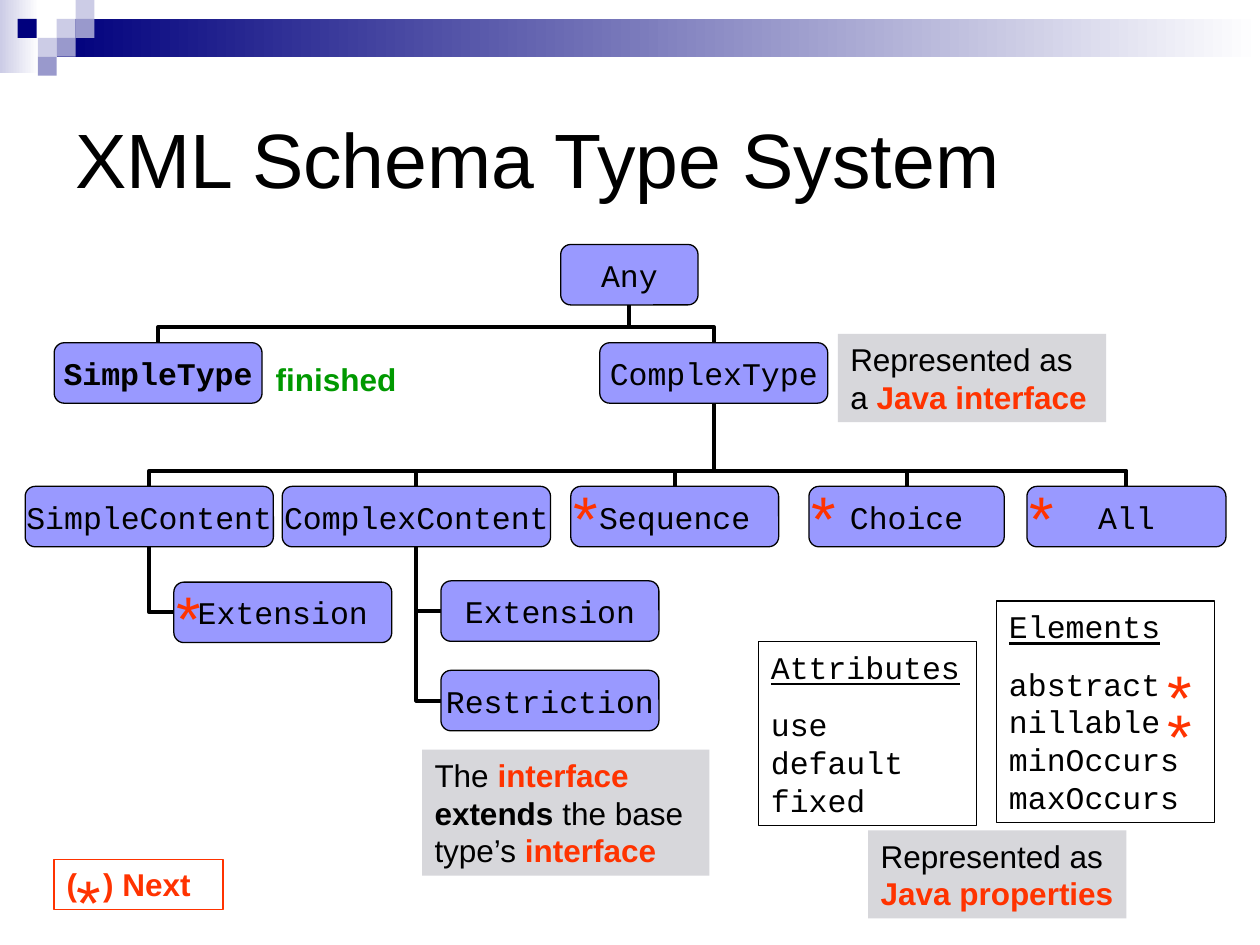
import lxml.etree
import pptx
import pptx.dml.color
import pptx.enum.shapes
import pptx.enum.text
import pptx.oxml.ns
import pptx.util

COLORS = {
    "black": "000000", "white": "FFFFFF", "navy": "00007D", "pale": "CCCCE6",
    "lavender": "9999CC", "node": "9999FF", "gray": "D7D7DB",
    "red": "FF3300", "green": "009900",
}
SHAPES = pptx.enum.shapes.MSO_SHAPE
ALIGN = pptx.enum.text.PP_ALIGN
ANCHOR = pptx.enum.text.MSO_ANCHOR
CELL = pptx.util.Inches(0.1)  # the slide is a grid of 100 columns and 75 rows
NODE_HEIGHT = 4.8
BUS_RISE = 1.25  # distance from the top of a child node up to its branch line
SQUARE = 1.5

# key: (text, left column, top row, width)
NODES = {
    "any": ("Any", 44.5, 19.4, 10.9),
    "simple type": ("SimpleType", 4.3, 27.2, 16.5),
    "complex type": ("ComplexType", 47.6, 27.2, 18.1),
    "simple content": ("SimpleContent", 2, 38.6, 19.7),
    "complex content": ("ComplexContent", 22.4, 38.6, 21.3),
    "sequence": ("Sequence", 45.3, 38.6, 16.5),
    "choice": ("Choice", 64.2, 38.6, 15.5),
    "all": ("All", 81.5, 38.6, 15.8),
    "simple extension": ("Extension", 13.8, 46.2, 17.3),
    "complex extension": ("Extension", 35, 46.1, 17.3),
    "restriction": ("Restriction", 35, 53.2, 17.3),
}
TREE_BRANCHES = {
    "any": ["simple type", "complex type"],
    "complex type": ["simple content", "complex content", "sequence", "choice", "all"],
}
SIDE_BRANCHES = {
    "simple content": ["simple extension"],
    "complex content": ["complex extension", "restriction"],
}
SQUARES = [
    (4.5, 1.5, "pale"), (6, 0, "pale"), (6, 1.5, "lavender"), (3, 3, "pale"),
    (1.4, 1.5, "navy"), (4.5, 3, "lavender"), (3, 4.5, "lavender"),
]
STARS = [(13, 45.4), (44.5, 37.5), (63.4, 37.5), (80.7, 37.5),
         (5.1, 68), (91.7, 51.7), (91.7, 54.8)]


def cells(*values):
    return [round(value * CELL) for value in values]


def rgb(name):
    return pptx.dml.color.RGBColor.from_string(COLORS[name])


def add_box(slide, box, fill=None, line=None, preset=SHAPES.RECTANGLE):
    shape = slide.shapes.add_shape(preset, *cells(*box))
    shape.shadow.inherit = False
    if fill:
        shape.fill.solid()
        shape.fill.fore_color.rgb = rgb(fill)
    else:
        shape.fill.background()
    if line:
        shape.line.color.rgb = rgb(line)
        shape.line.width = pptx.util.Pt(0.75)
    else:
        shape.line.fill.background()
    return shape


def add_gradient(slide, box, start):
    fill = add_box(slide, box, "white").fill
    fill.gradient()
    fill.gradient_angle = 0
    for stop, position, color in zip(fill.gradient_stops, (0, 1), (start, "white")):
        stop.position = position
        stop.color.rgb = rgb(color)


def write(shape, paragraphs, size=18, font="Arial", align=ALIGN.LEFT,
          anchor=ANCHOR.TOP, wrap=True):
    """Fill a shape with paragraphs, each a list of (text, color, styles) runs."""
    frame = shape.text_frame
    frame.word_wrap = wrap
    frame.vertical_anchor = anchor
    for index, runs in enumerate(paragraphs):
        paragraph = frame.add_paragraph() if index else frame.paragraphs[0]
        paragraph.alignment = align
        if index:
            paragraph.space_before = pptx.util.Pt(11.2)
        for text, color, styles in runs:
            run = paragraph.add_run()
            run.text = text
            run.font.size = pptx.util.Pt(size)
            run.font.name = font
            run.font.color.rgb = rgb(color)
            run.font.bold = "bold" in styles
            run.font.underline = "underline" in styles


def add_label(slide, box, paragraphs, **options):
    write(slide.shapes.add_textbox(*cells(*box)), paragraphs, **options)


def add_elbow(slide, start, end, preset, rotation, flips="", bend=None):
    """Draw a bent line; a quarter turn swaps the sides of its unrotated frame."""
    width, height = abs(end[0] - start[0]), abs(end[1] - start[1])
    if rotation % 180:
        width, height = height, width
    left = (start[0] + end[0] - width) / 2
    top = (start[1] + end[1] - height) / 2
    connector = slide.shapes.add_connector(
        pptx.enum.shapes.MSO_CONNECTOR.ELBOW,
        *cells(left, top, left + width, top + height))
    connector.line.color.rgb = rgb("black")
    connector.line.width = pptx.util.Pt(2.25)
    qn = pptx.oxml.ns.qn
    properties = connector._element.spPr
    lxml.etree.SubElement(properties, qn("a:effectLst"))
    transform = properties.find(qn("a:xfrm"))
    transform.set("rot", str(rotation * 60000))
    for axis in flips:
        transform.set("flip" + axis, "1")
    geometry = properties.find(qn("a:prstGeom"))
    geometry.set("prst", preset)
    if bend is not None:
        guide = lxml.etree.SubElement(geometry.find(qn("a:avLst")), qn("a:gd"))
        guide.set("name", "adj1")
        guide.set("fmla", f"val {round(bend * 100000)}")


def bottom_center(key):
    _, left, top, width = NODES[key]
    return left + width / 2, top + NODE_HEIGHT


def add_branches(slide):
    for parent, children in SIDE_BRANCHES.items():
        for child in children:
            _, left, top, _ = NODES[child]
            add_elbow(slide, (left, top + NODE_HEIGHT / 2), bottom_center(parent),
                      "bentConnector2", 180)
    for parent, children in TREE_BRANCHES.items():
        end = bottom_center(parent)
        for child in children:
            start = bottom_center(child)[0], NODES[child][2]
            rotation, flips = (270, "V") if start[0] > end[0] else (90, "HV")
            add_elbow(slide, start, end, "bentConnector3", rotation, flips,
                      BUS_RISE / (start[1] - end[1]))


def add_node(slide, key):
    text, left, top, width = NODES[key]
    shape = add_box(slide, (left, top, width, NODE_HEIGHT), "node", "black",
                    SHAPES.ROUNDED_RECTANGLE)
    style = "bold" if key == "simple type" else ""
    write(shape, [[(text, "black", style)]], font="Courier New",
          align=ALIGN.CENTER, anchor=ANCHOR.MIDDLE, wrap=False)


def add_property_list(slide, box, heading, names):
    write(add_box(slide, box, line="black"),
          [[(heading, "black", "underline")], [(names, "black", "")]],
          font="Courier New")


def add_note(slide, box, *runs):
    write(add_box(slide, box, "gray"), [runs])


def add_legend(slide):
    shape = add_box(slide, (4.3, 68.2, 13.4, 4), line="red")
    write(shape, [[("(", "red", "bold"), (" ", "red", "bold"), (") Next", "red", "bold")]])
    gap = shape.text_frame.paragraphs[0].runs[1]
    gap.font._element.set("spc", "1000")  # leaves room for the star


def add_banner(slide):
    add_gradient(slide, (0, 0, 3.1, 5.8), "pale")
    add_gradient(slide, (4.5, 1.5, 95.5, 3), "navy")
    for left, top, color in SQUARES:
        add_box(slide, (left, top, SQUARE, SQUARE), color)


def main():
    presentation = pptx.Presentation()
    presentation.slide_width = 100 * CELL
    presentation.slide_height = 75 * CELL
    slide = presentation.slides.add_slide(presentation.slide_layouts[6])
    add_banner(slide)
    add_label(slide, (5, 5, 90, 15), [[("XML Schema Type System", "black", "")]],
              size=44, anchor=ANCHOR.MIDDLE)
    add_branches(slide)
    for key in NODES:
        add_node(slide, key)
    add_property_list(slide, (60.2, 50.9, 17.3, 14.6), "Attributes", "use default fixed")
    add_property_list(slide, (79.1, 47.7, 17.3, 17.6), "Elements",
                      "abstract nillable minOccurs maxOccurs")
    add_label(slide, (20.9, 28.1, 13.4, 4), [[("finished", "green", "bold")]])
    add_note(slide, (66.5, 26.5, 21.3, 7), ("Represented as a ", "black", ""),
             ("Java interface", "red", "bold"))
    add_note(slide, (33.5, 59.5, 22.8, 10), ("The ", "black", ""),
             ("interface ", "red", "bold"), ("extends", "black", "bold"),
             (" the base type’s ", "black", ""), ("interface", "red", "bold"))
    add_note(slide, (68.9, 65.9, 20.5, 7), ("Represented as ", "black", ""),
             ("Java properties", "red", "bold"))
    add_legend(slide)
    for left, top in STARS:
        add_label(slide, (left, top, 3.9, 7), [[("*", "red", "")]], size=36,
                  align=ALIGN.CENTER)
    presentation.save("out.pptx")


if __name__ == "__main__":
    main()
